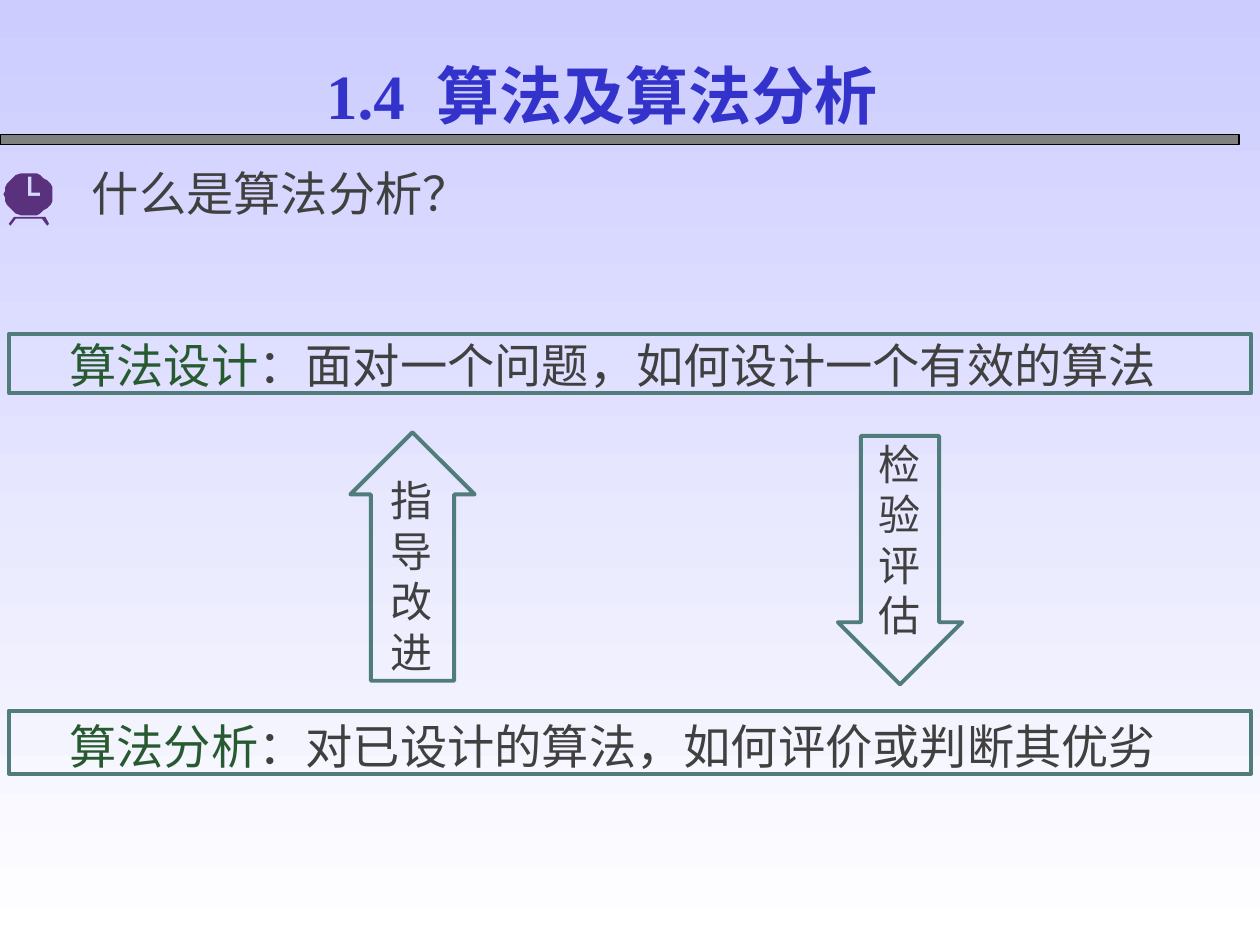
from math import cos, pi, sin

from lxml import etree
from pptx import Presentation
from pptx.dml.color import RGBColor
from pptx.enum.shapes import MSO_SHAPE
from pptx.enum.text import MSO_ANCHOR, PP_ALIGN
from pptx.oxml.ns import qn
from pptx.util import Pt

RECT, UP, DOWN = MSO_SHAPE.RECTANGLE, MSO_SHAPE.UP_ARROW, MSO_SHAPE.DOWN_ARROW
LEFT, CENTER, JUSTIFY = PP_ALIGN.LEFT, PP_ALIGN.CENTER, PP_ALIGN.JUSTIFY
TOP = MSO_ANCHOR.TOP

COLORS = {
    "sky": "CCCCFF", "white": "FFFFFF", "title": "3333CC", "body": "404040",
    "term": "285A31", "frame": "507C7C", "clock": "5A317C",
    "bar": "808080", "black": "000000",
}
HAN, LATIN = "Noto Sans CJK SC", "Times New Roman"


def color(name):
    return RGBColor.from_string(COLORS[name])


class SlideStyle:
    """Holds the style and the current slide; all lengths are in points."""

    def __init__(self, page):
        self.page = page

    def background(self, start, end):
        fill = self.page.background.fill
        fill.gradient()
        fill.gradient_angle = 270
        for stop, name in zip(fill.gradient_stops, (start, end)):
            stop.color.rgb = color(name)

    def paint(self, shape, fill=None, line=None, width=2.25):
        shape.shadow.inherit = False
        if fill:
            shape.fill.solid()
            shape.fill.fore_color.rgb = color(fill)
        else:
            shape.fill.background()
        if line:
            shape.line.color.rgb = color(line)
            shape.line.width = Pt(width)
        else:
            shape.line.fill.background()
        return shape

    def shape(self, kind, area, **paint):
        shape = self.page.shapes.add_shape(kind, *map(Pt, area))
        return self.paint(shape, **paint)

    def arrow(self, kind, area, shaft):
        arrow = self.shape(kind, area, line="frame")
        arrow.adjustments[0] = shaft
        arrow.adjustments[1] = 0.5

    def outline(self, contours, fill):
        """Draw closed contours; an inner contour leaves a hole."""
        first, *others = contours
        builder = self.page.shapes.build_freeform(*first[0], scale=Pt(1))
        builder.add_line_segments(first[1:], close=True)
        for contour in others:
            builder.move_to(*contour[0])
            builder.add_line_segments(contour[1:], close=True)
        return self.paint(builder.convert_to_shape(), fill=fill)

    def text(self, area, spans, size, **style):
        box = self.page.shapes.add_textbox(*map(Pt, area))
        self.label(box, spans, size, **style)

    def label(self, shape, spans, size, align=JUSTIFY, insets=(0, 0, 0, 0),
              indent=(0, 0), font=HAN, bold=False):
        frame = shape.text_frame
        frame.word_wrap = True
        frame.vertical_anchor = TOP
        (frame.margin_left, frame.margin_top,
         frame.margin_right, frame.margin_bottom) = map(Pt, insets)
        para = frame.paragraphs[0]
        para.alignment = align
        properties = para._p.get_or_add_pPr()
        properties.set("marL", str(Pt(indent[0])))
        properties.set("indent", str(Pt(indent[1])))
        para.font.name = font
        para.font.size = Pt(size)
        para.font.bold = bold
        if len(spans) == 1:
            para.font.color.rgb = color(spans[0][1])
        # Chinese characters take their own typeface
        defaults = properties.find(qn("a:defRPr"))
        etree.SubElement(defaults, qn("a:ea")).set("typeface", HAN)
        for words, name in spans:
            span = para.add_run()
            span.text = words
            if len(spans) > 1:
                span.font.color.rgb = color(name)


def draw_clock(style):
    # Legs
    style.outline([[(8, 123.8), (25.5, 123.8), (28.2, 128.4), (27, 128.9),
                    (24.5, 125.2), (8.8, 125.2), (6.4, 128.9), (5.1, 128.4)]],
                  "clock")
    # Face with the hands cut out
    steps = 36
    face = [(16.4 + 14.1 * cos(2 * pi * i / steps),
             111 + 12.4 * sin(2 * pi * i / steps)) for i in range(steps)]
    hands = [(15.6, 101.4), (17.8, 101.4), (17.8, 110), (22.8, 110),
             (22.8, 111.8), (15.6, 111.8)]
    style.outline([face, hands], "clock")


def main():
    deck = Presentation()
    deck.slide_width, deck.slide_height = Pt(720), Pt(540)
    style = SlideStyle(deck.slides.add_slide(deck.slide_layouts[6]))
    style.background("sky", "white")

    # Title above its bar
    style.shape(RECT, (0, 76.8, 708, 6), fill="bar", line="black", width=0.75)
    style.text((179.3, 28.8, 393, 50.4), [("1.4  算法及算法分析", "title")], 36,
               align=LEFT, insets=(7.2, 3.6, 7.2, 3.6), indent=(36, -36),
               font=LATIN, bold=True)

    # Question with a clock as its marker
    style.text((48.2, 92.2, 224, 33.8), [("什么是算法分析？", "body")], 27,
               align=CENTER, insets=(0, 1.4, 0, 0), indent=(0.7, 0))
    draw_clock(style)

    # Two framed definitions
    for top, height, inset, term, meaning in (
            (190.8, 33.8, 1.4, "算法设计", "：面对一个问题，如何设计一个有效的算法"),
            (406.1, 36, 3.6, "算法分析", "：对已设计的算法，如何评价或判断其优劣")):
        frame = style.shape(RECT, (5, top, 710, height), line="frame")
        style.label(frame, [(term, "term"), (meaning, "body")], 27,
                    insets=(0, inset, 0, 0), indent=(34.6, 0))

    # Arrows between the definitions, each with a label of one character a line
    for kind, left, top, shaft, label_left, label_top, words in (
            (DOWN, 478.8, 249.1, 0.63, 501.1, 249.8, "检 验 评 估"),
            (UP, 200.2, 247, 0.67, 222.5, 270.7, "指 导 改 进")):
        style.arrow(kind, (left, top, 71, 142), shaft)
        style.text((label_left, label_top, 26, 116), [(words, "body")], 24,
                   insets=(0, 0.7, 0, 0), indent=(0.7, 0))

    deck.save("out.pptx")


if __name__ == "__main__":
    main()
